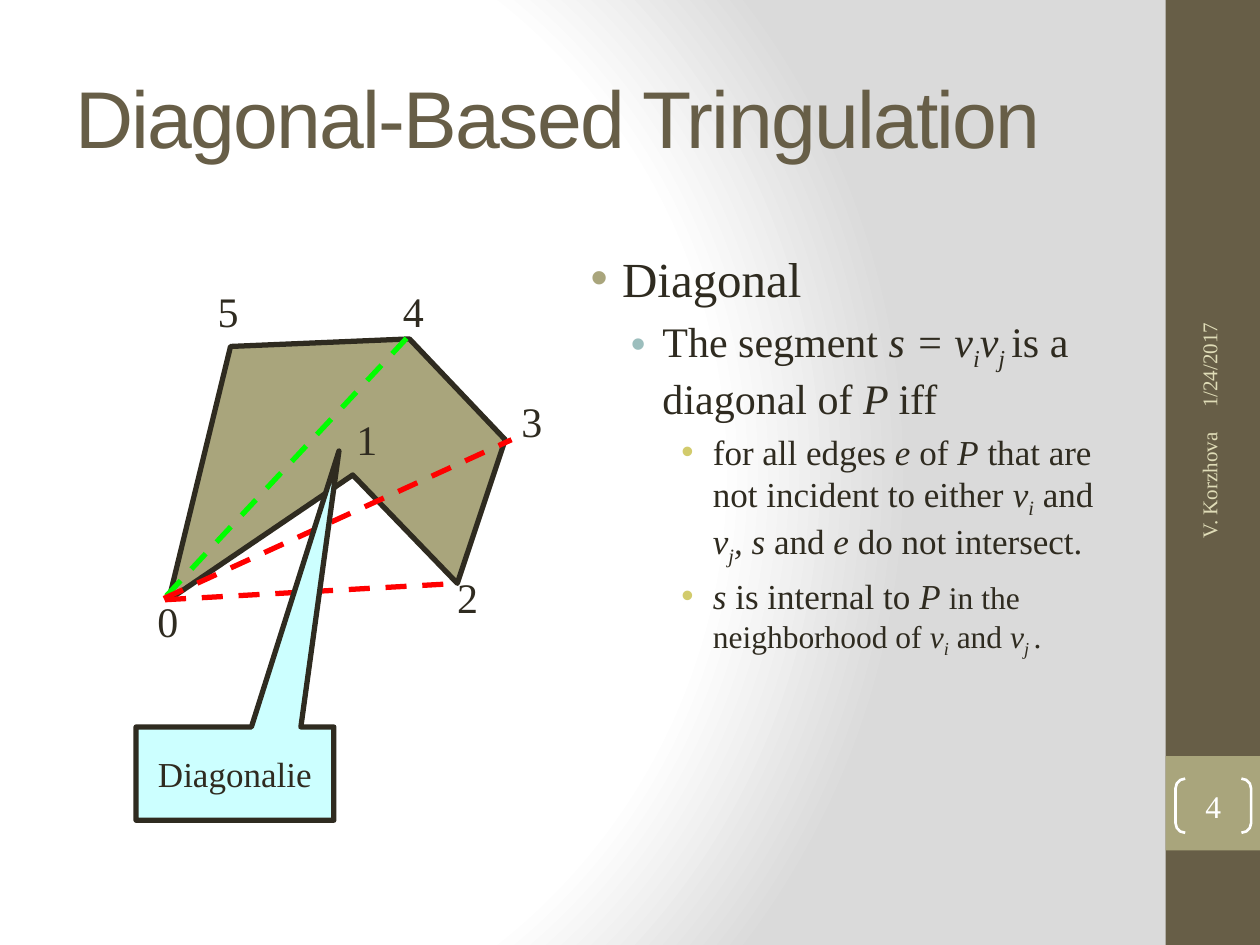
from dataclasses import dataclass

from lxml.etree import SubElement
from pptx import Presentation
from pptx.dml.color import RGBColor
from pptx.enum.dml import MSO_LINE
from pptx.enum.shapes import MSO_CONNECTOR, MSO_SHAPE
from pptx.enum.text import MSO_ANCHOR, PP_ALIGN
from pptx.oxml.ns import qn
from pptx.util import Inches, Pt


@dataclass(frozen=True)
class Theme:
    heading_font: str = "Arial"
    body_font: str = "Times New Roman"
    ink: str = "2F2B20"
    brown: str = "675E47"
    olive: str = "A9A57C"
    sand: str = "DFDCB7"
    white: str = "FFFFFF"
    gray: str = "DADADA"
    callout: str = "CCFFFF"
    valid: str = "00FF00"
    invalid: str = "FF0000"
    bullets: tuple = ("A9A57C", "9CBEBD", "D2CB6C")
    outline_sizes: tuple = (28, 24, 20)
    title_size: float = 46
    vertex_size: float = 24
    callout_size: float = 20
    number_size: float = 18
    footer_size: float = 12
    outline: float = 3
    bracket: float = 1.5


# Text indent of each outline level, in inches
INDENTS = (0.38, 0.7, 1.1)
HANGING = 0.25

# Run formats used in the outline
PLAIN, ITALIC = {}, {"italic": True}
SUB = {"italic": True, "baseline": -25000}
SMALL = {"size": Theme.number_size}
SMALL_ITALIC, SMALL_SUB = {**SMALL, **ITALIC}, {**SMALL, **SUB}

OUTLINE = [
    (0, [("Diagonal", PLAIN)]),
    (1, [("The segment ", PLAIN), ("s = v", ITALIC), ("i", SUB), ("v", ITALIC),
         ("j ", SUB), ("is a diagonal of ", PLAIN), ("P ", ITALIC), ("iff", PLAIN)]),
    (2, [("for all edges ", PLAIN), ("e ", ITALIC), ("of ", PLAIN), ("P", ITALIC),
         (" that are not incident to either ", PLAIN), ("v", ITALIC), ("i", SUB),
         (" and ", PLAIN), ("v", ITALIC), ("j", SUB), (", s", ITALIC),
         (" and ", PLAIN), ("e", ITALIC), (" do not intersect.", PLAIN)]),
    (2, [("s ", ITALIC), ("is internal to ", PLAIN), ("P ", ITALIC),
         ("in the neighborhood of", SMALL), (" v", SMALL_ITALIC), ("i", SMALL_SUB),
         (" and ", SMALL), ("v", SMALL_ITALIC), ("j ", SMALL_SUB), (".", SMALL)]),
]

POLYGON = [(1.34, 4.76), (1.83, 2.75), (3.25, 2.69), (4.01, 3.49), (3.63, 4.63), (2.8, 3.77)]
VERTEX_LABELS = [(1.15, 4.68), (2.73, 3.23), (3.53, 4.49), (4.04, 3.09), (3.1, 2.22), (1.63, 2.22)]


class SlideBuilder:
    def __init__(self, slide, theme):
        self.slide, self.theme = slide, theme

    def background(self, stops, focus):
        self.slide.background.fill.gradient()
        gradient = self.slide.element.find(".//" + qn("a:gradFill"))
        for child in list(gradient):
            gradient.remove(child)
        stop_list = SubElement(gradient, qn("a:gsLst"))
        for position, color in stops:
            stop = SubElement(stop_list, qn("a:gs"), pos=str(position * 1000))
            SubElement(stop, qn("a:srgbClr"), val=color)
        circle = SubElement(gradient, qn("a:path"))
        circle.set("path", "circle")
        center = SubElement(circle, qn("a:fillToRect"))
        for side, percent in zip("ltrb", focus):
            center.set(side, str(percent * 1000))

    def paint(self, shape, fill=None, line=None, width=None):
        shape.shadow.inherit = False
        if fill:
            shape.fill.solid()
            shape.fill.fore_color.rgb = RGBColor.from_string(fill)
        else:
            shape.fill.background()
        if line:
            shape.line.color.rgb = RGBColor.from_string(line)
            shape.line.width = Pt(width)
        else:
            shape.line.fill.background()

    def shape(self, kind, box, adjustments=(), **paint):
        shape = self.slide.shapes.add_shape(kind, *map(Inches, box))
        for index, value in enumerate(adjustments):
            shape.adjustments[index] = value
        self.paint(shape, **paint)
        return shape

    def polygon(self, points, **paint):
        corners = [(Inches(x), Inches(y)) for x, y in points]
        builder = self.slide.shapes.build_freeform(*corners[0])
        builder.add_line_segments(corners[1:], close=True)
        self.paint(builder.convert_to_shape(), **paint)

    def dashed_line(self, start, end, color):
        line = self.slide.shapes.add_connector(
            MSO_CONNECTOR.STRAIGHT, *map(Inches, (*start, *end)))
        line.line.color.rgb = RGBColor.from_string(color)
        line.line.width = Pt(self.theme.outline)
        line.line.dash_style = MSO_LINE.DASH
        SubElement(line.element.spPr, qn("a:effectLst"))

    def run(self, paragraph, text, size, color=None, font=None, baseline=0, spacing=0, **formats):
        run = paragraph.add_run()
        run.text = text
        values = {"size": Pt(size), "name": font or self.theme.body_font, **formats}
        for attribute, value in values.items():
            setattr(run.font, attribute, value)
        run.font.color.rgb = RGBColor.from_string(color or self.theme.ink)
        for attribute, value in {"baseline": baseline, "spc": spacing}.items():
            if value:
                run.font._element.set(attribute, str(value))

    def label(self, shape, text, size, align=PP_ALIGN.LEFT, frame=None, **formats):
        for attribute, value in (frame or {}).items():
            setattr(shape.text_frame, attribute, value)
        paragraph = shape.text_frame.paragraphs[0]
        paragraph.alignment = align
        self.run(paragraph, text, size, **formats)

    def text(self, box, text, size, wrap=True, anchor=MSO_ANCHOR.TOP, rotation=0, **formats):
        textbox = self.slide.shapes.add_textbox(*map(Inches, box))
        textbox.rotation = rotation
        frame = {"word_wrap": wrap, "vertical_anchor": anchor}
        self.label(textbox, text, size, frame=frame, **formats)

    def outline(self, box, items):
        frame = self.slide.shapes.add_textbox(*map(Inches, box)).text_frame
        frame.word_wrap = True
        for index, (level, runs) in enumerate(items):
            paragraph = frame.add_paragraph() if index else frame.paragraphs[0]
            size = self.theme.outline_sizes[level]
            paragraph.level = level
            paragraph.space_before = Pt(size * 0.2)
            properties = paragraph._p.get_or_add_pPr()
            properties.set("marL", str(Inches(INDENTS[level])))
            properties.set("indent", str(-Inches(HANGING)))
            bullet = SubElement(properties, qn("a:buClr"))
            SubElement(bullet, qn("a:srgbClr"), val=self.theme.bullets[level])
            SubElement(properties, qn("a:buFont"), typeface=self.theme.heading_font)
            SubElement(properties, qn("a:buChar"), char="•")
            for text, formats in runs:
                self.run(paragraph, text, **{"size": size, **formats})


def main():
    theme = Theme()
    deck = Presentation()
    deck.slide_width, deck.slide_height = Inches(10), Inches(7.5)
    page = SlideBuilder(deck.slides.add_slide(deck.slide_layouts[6]), theme)

    # Background and side band
    page.background([(0, theme.white), (75, theme.white), (100, theme.gray)], (20, 50, 100, 50))
    page.shape(MSO_SHAPE.RECTANGLE, (9.25, 0, 0.75, 7.5), fill=theme.brown)
    page.shape(MSO_SHAPE.RECTANGLE, (9.25, 6, 0.75, 0.75), fill=theme.olive)

    # Title and definition
    page.text((0.5, 0.3, 8.33, 1.25), "Diagonal-Based Tringulation", theme.title_size,
              anchor=MSO_ANCHOR.MIDDLE, font=theme.heading_font, color=theme.brown, spacing=-100)
    page.outline((4.46, 1.92, 4.56, 5.56), OUTLINE)

    # Polygon with candidate diagonals
    page.polygon(POLYGON, fill=theme.olive, line=theme.ink, width=theme.outline)
    for start, end, color in [((1.32, 4.73), (3.25, 2.66), theme.valid),
                              ((1.3, 4.75), (4.06, 3.49), theme.invalid),
                              ((1.31, 4.76), (3.64, 4.63), theme.invalid)]:
        page.dashed_line(start, end, color)
    for number, corner in enumerate(VERTEX_LABELS):
        page.text((*corner, 0.37, 0.5), str(number), theme.vertex_size, wrap=False)

    # Callout
    callout = page.shape(MSO_SHAPE.RECTANGULAR_CALLOUT, (1.08, 5.77, 1.57, 0.74), (0.526, -3.46),
                         fill=theme.callout, line=theme.ink, width=theme.outline)
    centered = {"word_wrap": False, "vertical_anchor": MSO_ANCHOR.MIDDLE}
    page.label(callout, "Diagonalie", theme.callout_size, PP_ALIGN.CENTER, centered)

    # Date, author and slide number
    for box, text, align in [((8.26, 1.8, 2.67, 0.4), "1/24/2017", PP_ALIGN.LEFT),
                             ((8.3, 4.43, 2.59, 0.4), "V. Korzhova", PP_ALIGN.RIGHT)]:
        page.text(box, text, theme.footer_size, anchor=MSO_ANCHOR.MIDDLE, rotation=270,
                  align=align, color=theme.sand)
    brackets = page.shape(MSO_SHAPE.DOUBLE_BRACKET, (9.33, 6.18, 0.6, 0.43), (0.179,),
                          line=theme.white, width=theme.bracket)
    margins = {f"margin_{side}": 0 for side in ("left", "top", "right", "bottom")}
    page.label(brackets, "4", theme.number_size, PP_ALIGN.CENTER,
               {"vertical_anchor": MSO_ANCHOR.MIDDLE, **margins}, color=theme.white)

    deck.save("out.pptx")


if __name__ == "__main__":
    main()
